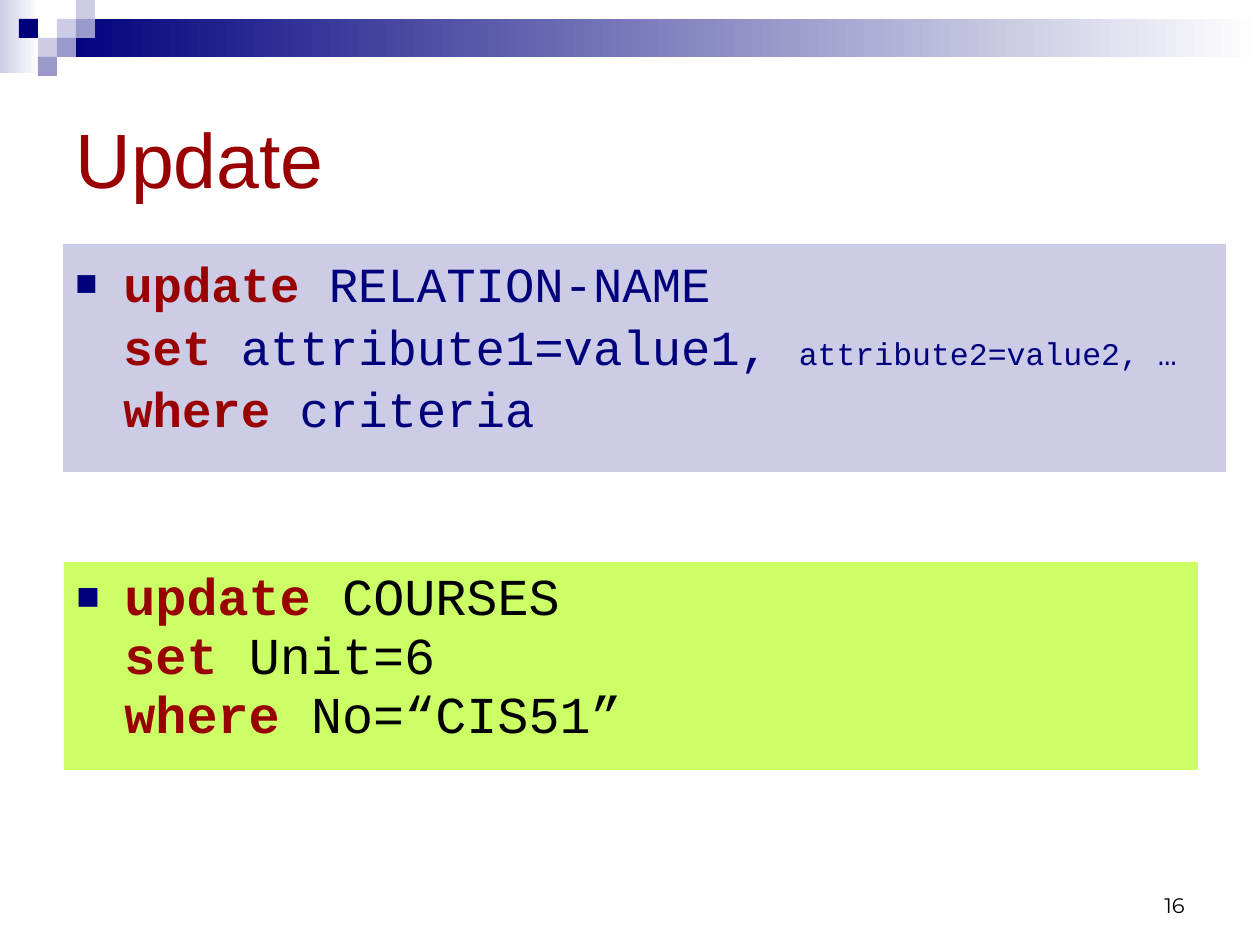
"""Build the slide on the SQL update statement."""
from lxml.etree import SubElement
from pptx import Presentation
from pptx.dml.color import RGBColor
from pptx.enum.shapes import MSO_SHAPE
from pptx.enum.text import MSO_ANCHOR, PP_ALIGN
from pptx.oxml.ns import qn
from pptx.util import Pt

PX = 914400 / 126
CELL = 19
THEME = {
    "navy": "00007D", "red": "990000", "lilac": "CCCCE6", "violet": "9999CC",
    "lime": "CCFF66", "black": "000000", "white": "FFFFFF",
    "heading": "Arial", "code": "Courier New", "number": "Montserrat",
    "title_size": 44, "syntax_size": 28, "small_size": 18,
    "example_size": 29.6, "number_size": 12,
}
TITLE = "Update"
PAGE = "16"
FADES = [((0, 0, 39, 73), "lilac"), ((57, 19, 1203, 38), "navy")]
CHECKS = [
    (3, 1, "lilac"), (4, 0, "lilac"), (4, 1, "violet"), (2, 2, "lilac"),
    (1, 1, "navy"), (3, 2, "violet"), (2, 3, "violet"),
]
PANELS = [
    {"box": (63, 244, 1163, 228), "back": "lilac", "ink": "navy",
     "size": "syntax_size", "format": {"line_spacing": 1.06, "space_before": Pt(7)},
     "lines": [("update", " RELATION-NAME", ""),
               ("set", " attribute1=value1, ", "attribute2=value2, …"),
               ("where", " criteria", "")]},
    {"box": (64, 562, 1134, 208), "back": "lime", "ink": "black",
     "size": "example_size", "format": {"line_spacing": 0.95, "space_before": Pt(4)},
     "lines": [("update", " COURSES", ""),
               ("set", " Unit=6", ""),
               ("where", " No=“CIS51”", "")]},
]


def color(name):
    return RGBColor.from_string(THEME[name])


def emu(box):
    return [round(length * PX) for length in box]


def apply(target, values):
    for name, value in values.items():
        setattr(target, name, value)


def add_block(slide, box, back=None):
    block = slide.shapes.add_shape(MSO_SHAPE.RECTANGLE, *emu(box))
    block.shadow.inherit = False
    block.line.fill.background()
    if back:
        block.fill.solid()
        block.fill.fore_color.rgb = color(back)
    return block


def add_fade(slide, box, start):
    fill = add_block(slide, box).fill
    fill.gradient()
    fill.gradient_angle = 0
    for stop, name, position in zip(fill.gradient_stops, (start, "white"), (0, 1)):
        stop.color.rgb = color(name)
        stop.position = position


def add_words(paragraph, words, font, size, ink, bold=False):
    run = paragraph.add_run()
    run.text = words
    apply(run.font, {"name": THEME[font], "size": Pt(THEME[size]), "bold": bold})
    run.font.color.rgb = color(ink)


def add_bullet(paragraph):
    properties = paragraph._p.get_or_add_pPr()
    properties.set("marL", str(round(48 * PX)))
    properties.set("indent", str(round(-48 * PX)))
    tint = SubElement(properties, qn("a:buClr"))
    SubElement(tint, qn("a:srgbClr"), val=THEME["navy"])
    SubElement(properties, qn("a:buSzPct"), val="75000")
    SubElement(properties, qn("a:buFont"), typeface=THEME["heading"])
    SubElement(properties, qn("a:buChar"), char="■")


def add_panel(slide, panel):
    frame = add_block(slide, panel["box"], panel["back"]).text_frame
    apply(frame, {"word_wrap": True, "vertical_anchor": MSO_ANCHOR.TOP})
    statement = frame.paragraphs[0]
    apply(statement, {"alignment": PP_ALIGN.LEFT, **panel["format"]})
    add_bullet(statement)
    for row, (keyword, rest, small) in enumerate(panel["lines"]):
        if row:
            statement.add_line_break()
        add_words(statement, keyword, "code", panel["size"], "red", True)
        add_words(statement, rest, "code", panel["size"], panel["ink"])
        if small:
            add_words(statement, small, "code", "small_size", panel["ink"])


def add_label(holder, words, anchor, alignment, font, size, ink):
    frame = holder.text_frame
    apply(frame, {"word_wrap": True, "vertical_anchor": anchor})
    label = frame.paragraphs[0]
    label.alignment = alignment
    add_words(label, words, font, size, ink)


def main():
    deck = Presentation()
    deck.slide_width, deck.slide_height = emu((1260, 945))
    slide = deck.slides.add_slide(deck.slide_layouts[5])
    for box, start in FADES:
        add_fade(slide, box, start)
    for column, row, back in CHECKS:
        add_block(slide, (column * CELL, row * CELL, CELL, CELL), back)
    title = slide.shapes.title
    apply(title, dict(zip(("left", "top", "width", "height"), emu((63, 63, 1134, 189)))))
    add_label(title, TITLE, MSO_ANCHOR.MIDDLE, PP_ALIGN.LEFT,
              "heading", "title_size", "red")
    for panel in PANELS:
        add_panel(slide, panel)
    page = slide.shapes.add_textbox(*emu((903, 861, 294, 63)))
    add_label(page, PAGE, MSO_ANCHOR.BOTTOM, PP_ALIGN.RIGHT,
              "number", "number_size", "black")
    deck.save("out.pptx")


if __name__ == "__main__":
    main()
